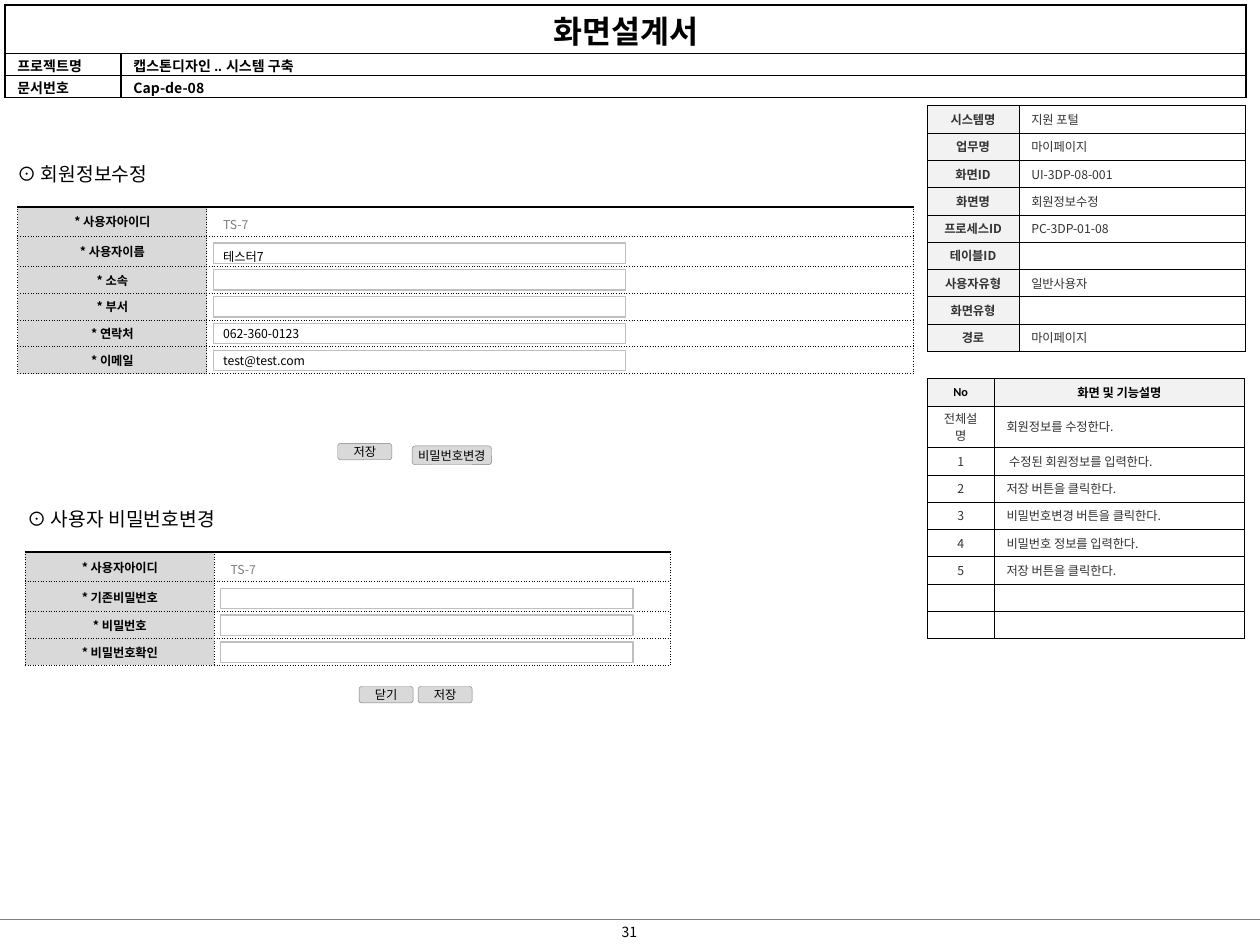
from lxml.etree import SubElement
from pptx import Presentation
from pptx.dml.color import RGBColor
from pptx.enum.shapes import MSO_CONNECTOR, MSO_SHAPE
from pptx.enum.text import MSO_ANCHOR as Anchor, PP_ALIGN as Align
from pptx.oxml.ns import qn
from pptx.util import Cm, Pt

COLORS = {
    "black": "000000", "dark": "333333", "gray": "808080", "outline": "BFBFBF",
    "label": "D9D9D9", "pale": "F2F2F2", "white": "FFFFFF",
}
FONT = "Noto Sans CJK KR"
SIDES = ("L", "R", "T", "B")

SYSTEM_INFO = [
    ("시스템명", "지원 포털"), ("업무명", "마이페이지"), ("화면ID", "UI-3DP-08-001"),
    ("화면명", "회원정보수정"), ("프로세스ID", "PC-3DP-01-08"), ("테이블ID", ""),
    ("사용자유형", "일반사용자"), ("화면유형", ""), ("경로", "마이페이지"),
]
FUNCTIONS = [
    ("No", "화면 및 기능설명"), ("전체설명", "회원정보를 수정한다."),
    ("1", " 수정된 회원정보를 입력한다."), ("2", "저장 버튼을 클릭한다."),
    ("3", "비밀번호변경 버튼을 클릭한다."), ("4", "비밀번호 정보를 입력한다."),
    ("5", "저장 버튼을 클릭한다."), ("", ""), ("", ""),
]
MEMBER_FIELDS = [("사용자이름", "테스터7"), ("소속", ""), ("부서", ""),
                 ("연락처", "062-360-0123"), ("이메일", "test@test.com")]
PASSWORD_FIELDS = [("기존비밀번호", ""), ("비밀번호", ""), ("비밀번호확인", "")]


def rgb(name):
    return RGBColor.from_string(COLORS[name])


class ScreenSheet:
    """Draws the parts of a screen design sheet on one slide."""

    def __init__(self, slide):
        self.slide = slide
        self.shapes = slide.shapes

    def set_text(self, frame, text, size=7, color="black", bold=False,
                 align=Align.LEFT, font=FONT, spacing=None):
        paragraph = frame.paragraphs[0]
        paragraph.text = text
        paragraph.alignment = align
        if spacing:
            paragraph.line_spacing = spacing
        style = paragraph.font
        style.size, style.bold, style.name = Pt(size), bold, font
        style.color.rgb = rgb(color)
        defaults = paragraph._p.get_or_add_pPr().find(qn("a:defRPr"))
        SubElement(defaults, qn("a:ea"), typeface=FONT)
        if not text:  # keeps empty table rows low
            SubElement(paragraph._p, qn("a:endParaRPr"), sz=str(size * 100))

    def text(self, box, text, size, align=Align.LEFT, wrap=False):
        frame = self.shapes.add_textbox(*map(Cm, box)).text_frame
        frame.word_wrap = wrap
        self.set_text(frame, text, size, align=align)

    def rule(self, y):
        line = self.shapes.add_connector(
            MSO_CONNECTOR.STRAIGHT, 0, Cm(y), Cm(25.4), Cm(y))
        line.line.color.rgb = rgb("gray")
        line.line.width = Pt(0.75)
        SubElement(line._element.spPr, qn("a:effectLst"))

    def box(self, kind, box, fill, line=None, width=0.75):
        shape = self.shapes.add_shape(kind, *map(Cm, box))
        shape.shadow.inherit = False
        shape.fill.solid()
        shape.fill.fore_color.rgb = rgb(fill)
        if line:
            shape.line.color.rgb = rgb(line)
            shape.line.width = Pt(width)
        else:
            shape.line.fill.background()
        return shape

    def field(self, box, text="", color="black", line="outline", spacing=None):
        shape = self.box(MSO_SHAPE.RECTANGLE, box, "white", line)
        if text:
            frame = shape.text_frame
            frame.vertical_anchor = Anchor.MIDDLE
            frame.margin_left, frame.margin_right = Cm(0.2), Cm(0.1)
            self.set_text(frame, text, color=color, spacing=spacing)

    def button(self, box, text):
        shape = self.box(MSO_SHAPE.ROUNDED_RECTANGLE, box, "label", "gray", 0.25)
        frame = shape.text_frame
        frame.word_wrap = False
        frame.vertical_anchor = Anchor.MIDDLE
        frame.margin_top = frame.margin_bottom = Cm(0.1)
        self.set_text(frame, text, align=Align.CENTER)

    def table(self, left, top, columns, rows):
        frame = self.shapes.add_table(
            len(rows), len(columns), Cm(left), Cm(top), Cm(sum(columns)), Cm(sum(rows)))
        table = frame.table
        table.first_row = table.horz_banding = False
        for column, width in zip(table.columns, columns):
            column.width = Cm(width)
        for row, height in zip(table.rows, rows):
            row.height = Cm(height)
        return table

    def cell(self, cell, text, fill="white", borders=(0.25,) * 4, dotted="",
             margins=(0.25, 0.05), anchor=Anchor.MIDDLE, **style):
        """Fill a cell; borders are widths in SIDES order, dotted lists sides."""
        properties = cell._tc.get_or_add_tcPr()
        for side, width in zip(SIDES, borders):
            line = SubElement(properties, qn(f"a:ln{side}"), w=str(int(Pt(width))))
            solid = SubElement(line, qn("a:solidFill"))
            SubElement(solid, qn("a:srgbClr"), val=COLORS["black"])
            dash = "sysDot" if side in dotted else "solid"
            SubElement(line, qn("a:prstDash"), val=dash)
        cell.fill.solid()
        cell.fill.fore_color.rgb = rgb(fill)
        cell.vertical_anchor = anchor
        cell.margin_left = cell.margin_right = Cm(margins[0])
        cell.margin_top = cell.margin_bottom = Cm(margins[1])
        self.set_text(cell.text_frame, text, **style)

    def header(self, title, entries):
        table = self.table(0.1, 0.1, [2.34, 22.68], [0.98, 0.44, 0.44])
        table.cell(0, 0).merge(table.cell(0, 1))
        for column in range(2):
            self.cell(table.cell(0, column), title if column == 0 else "",
                      borders=(1.5, 1.5, 1.5, 0.75), margins=(0.25, 0), size=18,
                      bold=True, align=Align.CENTER)
        for row, entry in enumerate(entries, 1):
            for column, text in enumerate(entry):
                borders = (0.75, 1.5, 0.75, 0.75) if column else (1.5, 0.75, 0.75, 0.75)
                self.cell(table.cell(row, column), text, borders=borders,
                          margins=(0.25, 0), anchor=Anchor.BOTTOM, size=8, bold=True,
                          font=FONT if text.isascii() else "Arial")

    def system_info(self, entries):
        table = self.table(18.69, 2.13, [1.85, 4.57], [0.55] * len(entries))
        for row, (label, value) in enumerate(entries):
            self.cell(table.cell(row, 0), label, "pale", color="dark",
                      bold=True, align=Align.CENTER)
            self.cell(table.cell(row, 1), value, color="dark")

    def functions(self, entries):
        rows = [0.55, 0.84] + [0.55] * (len(entries) - 2)
        table = self.table(18.69, 7.63, [1.35, 5.05], rows)
        for row, entry in enumerate(entries):
            for column, text in enumerate(entry):
                if row == 0:
                    style = dict(fill="pale", bold=True, align=Align.CENTER,
                                 font="Arial" if column else "Calibri")
                else:
                    style = dict(color="dark",
                                 align=Align.LEFT if column else Align.CENTER)
                self.cell(table.cell(row, column), text, **style)

    def form(self, left, top, value_width, fields):
        labels = ["사용자아이디"] + [label for label, _ in fields]
        rows = [0.6, 0.6] + [0.54] * (len(fields) - 1)
        table = self.table(left, top, [3.81, value_width], rows)
        for row, label in enumerate(labels):
            edges = dict(borders=(0.5, 0.5, 0.5 if row else 1, 0.5),
                         dotted="LRTB" if row else "LRB", margins=(0, 0))
            self.cell(table.cell(row, 0), f"* {label}", "label", bold=True,
                      align=Align.CENTER, **edges)
            self.cell(table.cell(row, 1), "", **edges)
        field_left = left + 3.94
        self.field((field_left, top + 0.08, 4.14, 0.41), "TS-7", "gray", None, 1.5)
        for index, (_, value) in enumerate(fields):
            self.field((field_left, top + 0.73 + 0.54 * index, 8.31, 0.41), value,
                       spacing=None if index else 1.5)


def main():
    presentation = Presentation()
    presentation.slide_width, presentation.slide_height = Cm(25.4), Cm(19.05)
    sheet = ScreenSheet(presentation.slides.add_slide(presentation.slide_layouts[6]))

    sheet.rule(18.54)
    sheet.text((11.99, 18.49, 1.4, 0.61), "31", 8, Align.CENTER, wrap=True)
    sheet.header("화면설계서", [("프로젝트명", "캡스톤디자인 .. 시스템 구축"),
                           ("문서번호", "Cap-de-08")])
    sheet.functions(FUNCTIONS)
    sheet.system_info(SYSTEM_INFO)

    sheet.text((0.1, 3.15, 3.2, 0.74), "⊙ 회원정보수정", 11)
    sheet.form(0.36, 4.17, 14.25, MEMBER_FIELDS)
    sheet.button((6.81, 8.94, 1.09, 0.33), "저장")
    sheet.button((8.31, 8.99, 1.6, 0.38), "비밀번호변경")

    sheet.text((0.3, 10.11, 4.42, 0.74), "⊙ 사용자 비밀번호변경", 11)
    sheet.form(0.51, 11.13, 9.19, PASSWORD_FIELDS)
    for left, text in ((7.24, "닫기"), (8.43, "저장")):
        sheet.button((left, 13.84, 1.09, 0.33), text)

    presentation.save("out.pptx")


if __name__ == "__main__":
    main()
